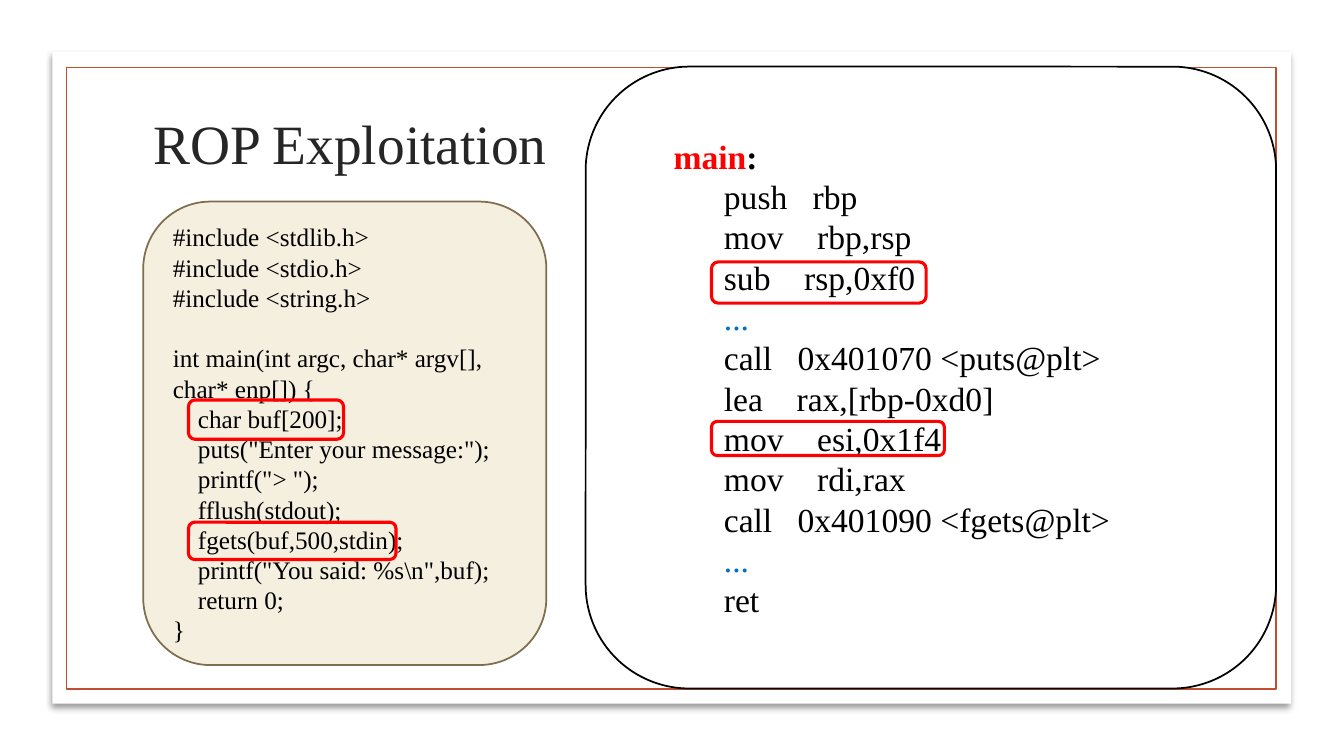
from pptx import Presentation
from pptx.dml.color import RGBColor
from pptx.enum.shapes import MSO_SHAPE
from pptx.enum.text import MSO_ANCHOR, PP_ALIGN
from pptx.oxml import parse_xml
from pptx.oxml.ns import nsdecls
from pptx.util import Cm, Pt

COLORS = {
    "white": "FFFFFF", "black": "000000", "title": "262626", "frame": "C04F32",
    "sand": "F5EFE0", "brown": "7F6D4F", "red": "FF0000", "blue": "0070C0",
}

SOURCE_CODE = r'''#include <stdlib.h>
#include <stdio.h>
#include <string.h>

int main(int argc, char* argv[], char* enp[]) {
    char buf[200];
    puts("Enter your message:");
    printf("> ");
    fflush(stdout);
    fgets(buf,500,stdin);
    printf("You said: %s\n",buf);
    return 0;
}'''

ASSEMBLY = """push   rbp
mov    rbp,rsp
sub    rsp,0xf0
...
call   0x401070 <puts@plt>
lea    rax,[rbp-0xd0]
mov    esi,0x1f4
mov    rdi,rax
call   0x401090 <fgets@plt>
...
ret"""

HIGHLIGHTS = [
    (4.75, 10.08, 3.91, 0.99),
    (4.75, 13.16, 5.23, 0.94),
    (17.93, 6.6, 5.41, 1.04),
    (17.93, 10.62, 5.87, 0.86),
]


def color(name):
    return RGBColor.from_string(COLORS[name])


def write_line(frame, spans, size, first=False, level=0, indent=0, before=0, spacing=1.2):
    paragraph = frame.paragraphs[0] if first else frame.add_paragraph()
    paragraph.alignment = PP_ALIGN.LEFT
    paragraph.level = level
    properties = paragraph._p.get_or_add_pPr()
    properties.set("marL", str(Cm(indent)))
    properties.set("indent", "0")
    paragraph.line_spacing = Pt(size * spacing)
    paragraph.space_before = Pt(before)
    for text, tint, bold in spans:
        span = paragraph.add_run()
        span.text = text
        span.font.name = "Times New Roman"
        span.font.size = Pt(size)
        span.font.bold = bold
        span.font.color.rgb = color(tint)


class SlideBuilder:
    def __init__(self, page):
        self.page = page

    def box(self, place, kind=MSO_SHAPE.RECTANGLE, fill=None, line=None, width=1.25):
        shape = self.page.shapes.add_shape(kind, *map(Cm, place))
        shape.shadow.inherit = False
        if fill:
            shape.fill.solid()
            shape.fill.fore_color.rgb = color(fill)
        else:
            shape.fill.background()
        if line:
            shape.line.color.rgb = color(line)
            shape.line.width = Pt(width)
        else:
            shape.line.fill.background()
        shape.text_frame.word_wrap = True
        shape.text_frame.vertical_anchor = MSO_ANCHOR.MIDDLE
        return shape

    def rounded(self, place, **style):
        return self.box(place, MSO_SHAPE.ROUNDED_RECTANGLE, **style)

    def card(self, place):
        shape = self.box(place, fill="white")
        effects = shape._element.spPr.find("{*}effectLst")
        effects.append(parse_xml(
            f'<a:outerShdw {nsdecls("a")} blurRad="{Pt(4)}" dist="{Pt(3)}" dir="5400000">'
            f'<a:srgbClr val="{COLORS["black"]}"><a:alpha val="40000"/></a:srgbClr>'
            '</a:outerShdw>'))

    def title(self, place, text):
        frame = self.page.shapes.add_textbox(*map(Cm, place)).text_frame
        frame.word_wrap = True
        frame.vertical_anchor = MSO_ANCHOR.MIDDLE
        write_line(frame, [(text, "title", False)], 39.6, first=True)

    def source_panel(self, place, code, size=18):
        frame = self.rounded(place, fill="sand", line="brown").text_frame
        for number, block in enumerate(code.split("\n\n")):
            for row, text in enumerate(block.split("\n")):
                gap = size * 1.2 if number and row == 0 else 0
                write_line(frame, [(text, "black", False)], size,
                           first=number + row == 0, before=gap)

    def assembly_panel(self, place, code, size=24):
        frame = self.rounded(place, fill="white", line="black").text_frame
        frame.margin_left = frame.margin_right = Cm(0.18)
        frame.margin_top = frame.margin_bottom = Cm(0.1)
        write_line(frame, [("main", "red", True), (":", "black", True)], size,
                   first=True, level=1, indent=1.27)
        for text in code.split("\n"):
            tint = "blue" if text == "..." else "black"
            write_line(frame, [(text, tint, False)], size, level=2, indent=2.54)


def main():
    deck = Presentation()
    deck.slide_width, deck.slide_height = Cm(33.87), Cm(19.05)
    slide = SlideBuilder(deck.slides.add_slide(deck.slide_layouts[6]))
    slide.card((1.32, 1.3, 31.22, 16.43))
    slide.box((1.68, 1.7, 30.48, 15.67), line="frame")
    slide.title((3.61, 2.72, 26.67, 1.75), "ROP Exploitation")
    slide.source_panel((3.61, 5.08, 10.16, 11.68), SOURCE_CODE)
    slide.assembly_panel((14.76, 1.68, 17.4, 15.67), ASSEMBLY)
    for place in HIGHLIGHTS:
        slide.rounded(place, line="red", width=2.25)
    deck.save("out.pptx")


if __name__ == "__main__":
    main()
